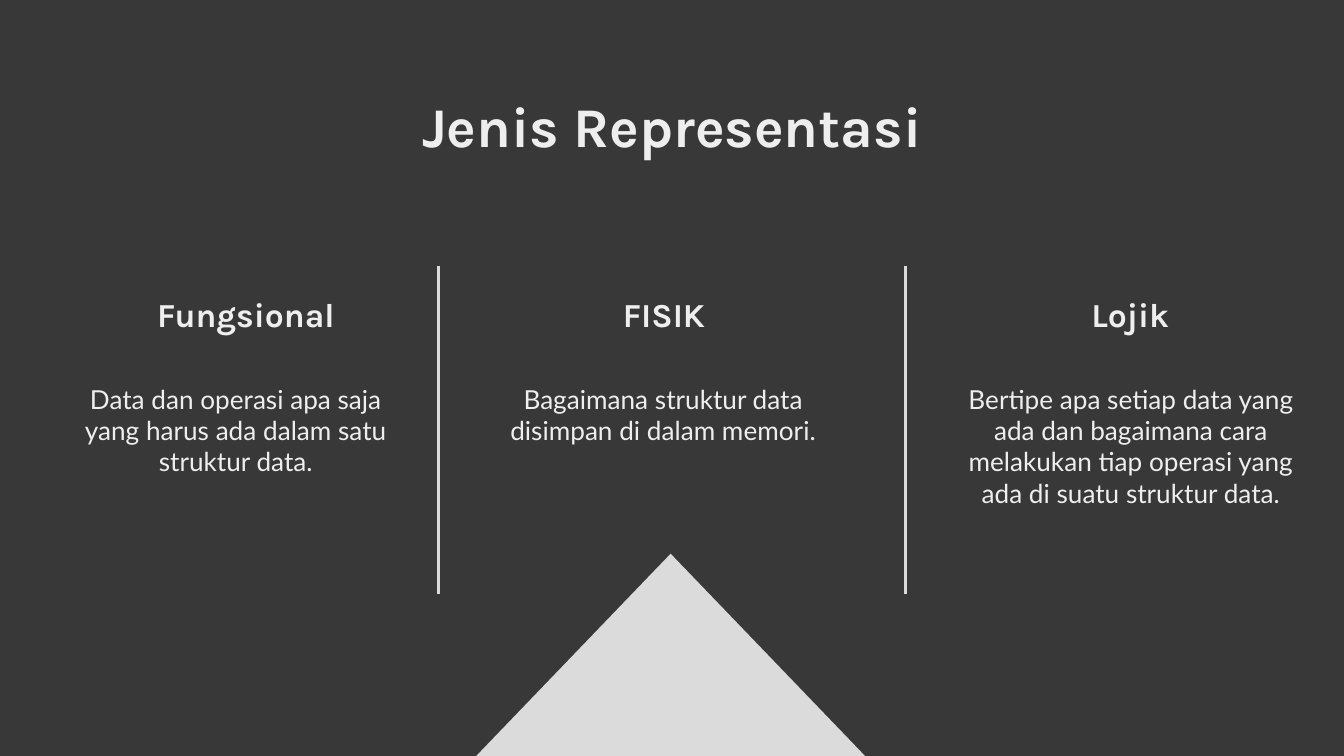
from pptx import Presentation
from pptx.dml.color import RGBColor
from pptx.enum.shapes import MSO_CONNECTOR, MSO_SHAPE
from pptx.enum.text import MSO_ANCHOR, PP_ALIGN
from pptx.oxml.ns import qn
from pptx.util import Inches, Pt
from lxml.etree import SubElement

COLORS = {"background": "383838", "accent": "DBDBDB", "text": "EEEEEE"}

# heading, heading left, heading width, body left, body height, body text
COLUMNS = [
    ("Fungsional", 0.94, 1.78, 0.43, 0.97,
     "Data dan operasi apa saja yang harus ada dalam satu struktur data."),
    ("FISIK", 4.12, 1.64, 3.61, 1.27,
     "Bagaimana struktur data disimpan di dalam memori."),
    ("Lojik", 7.59, 1.64, 7.09, 1.66,
     "Bertipe apa setiap data yang ada dan bagaimana cara melakukan "
     "tiap operasi yang ada di suatu struktur data."),
]
DIVIDERS = [3.26, 6.74]


def color(name):
    return RGBColor.from_string(COLORS[name])


def add_text(s, text, left, top, width, height, size, font,
             bold=False, anchor=MSO_ANCHOR.TOP):
    box = s.shapes.add_textbox(Inches(left), Inches(top),
                               Inches(width), Inches(height))
    tf = box.text_frame
    tf.word_wrap = True
    tf.vertical_anchor = anchor
    tf.margin_left = tf.margin_right = Inches(0.1)
    tf.margin_top = tf.margin_bottom = Inches(0.1)
    p = tf.paragraphs[0]
    p.alignment = PP_ALIGN.CENTER
    r = p.add_run()
    r.text = text
    r.font.name = font
    r.font.size = Pt(size)
    r.font.bold = bold
    r.font.color.rgb = color("text")


def add_triangle(s):
    sp = s.shapes.add_shape(MSO_SHAPE.ISOSCELES_TRIANGLE, Inches(3.5),
                            Inches(4.12), Inches(2.98), Inches(1.55))
    sp.shadow.inherit = False
    sp.fill.solid()
    sp.fill.fore_color.rgb = color("accent")
    sp.line.fill.background()


def add_divider(s, x):
    line = s.shapes.add_connector(MSO_CONNECTOR.STRAIGHT, Inches(x),
                                  Inches(1.98), Inches(x), Inches(4.42))
    line.line.color.rgb = color("accent")
    line.line.width = Pt(1.5)
    SubElement(line._element.spPr, qn("a:effectLst"))


def add_column(s, heading, head_left, head_width, body_left, body_height, body):
    add_text(s, heading, head_left, 2.17, head_width, 0.34, 18, "Karla",
             bold=True, anchor=MSO_ANCHOR.MIDDLE)
    add_text(s, body, body_left, 2.75, 2.65, body_height, 14, "Lato")


def main():
    prs = Presentation()
    prs.slide_width = Inches(10)
    prs.slide_height = prs.slide_width * 9 // 16
    s = prs.slides.add_slide(prs.slide_layouts[6])
    s.background.fill.solid()
    s.background.fill.fore_color.rgb = color("background")

    add_triangle(s)
    for column in COLUMNS:
        add_column(s, *column)
    for x in DIVIDERS:
        add_divider(s, x)
    add_text(s, "Jenis Representasi", 2.16, 0.58, 5.68, 0.58, 30, "Karla",
             bold=True)
    prs.save("out.pptx")


if __name__ == "__main__":
    main()
